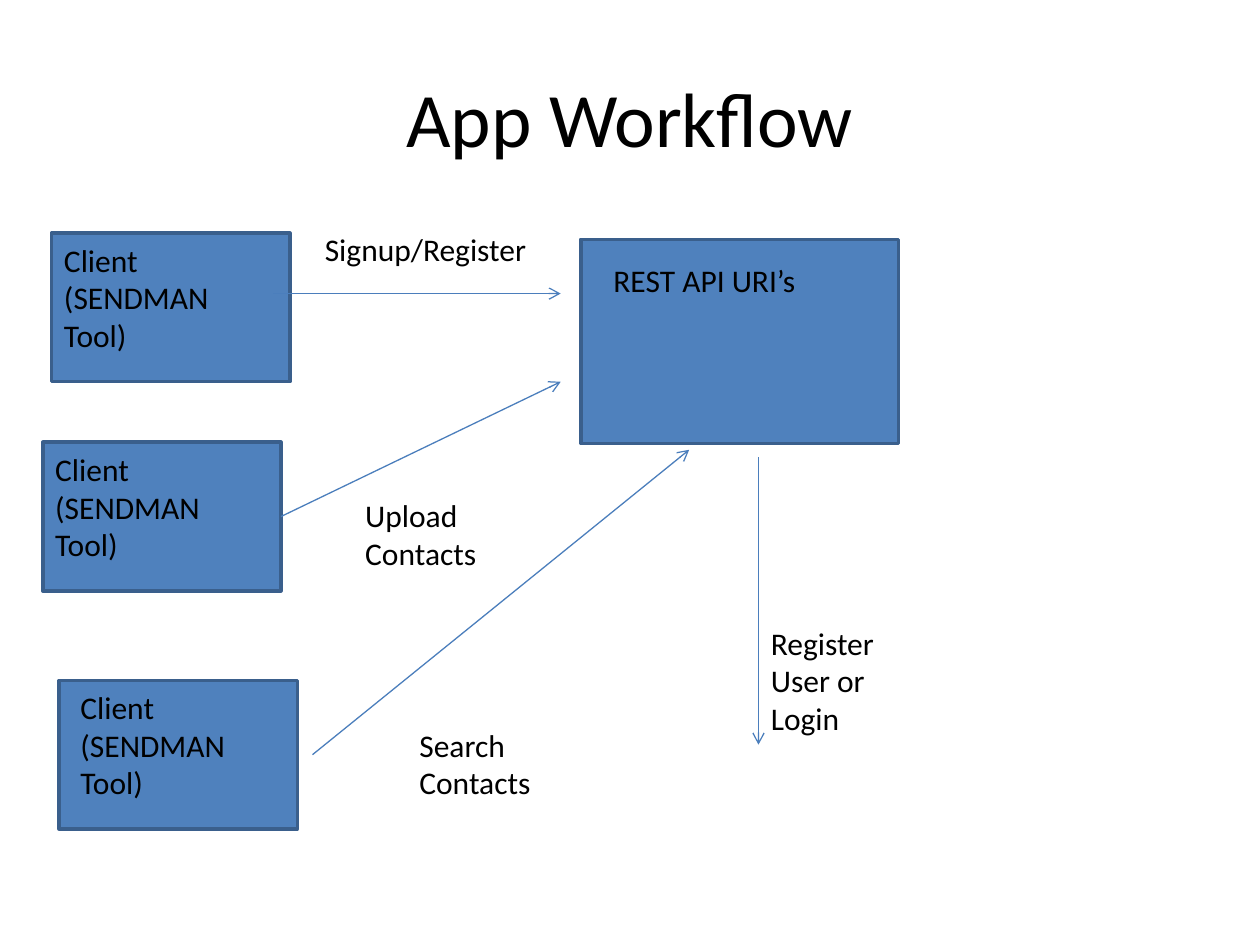
import pptx
import pptx.util
import pptx.dml.color
import pptx.enum.shapes
import pptx.enum.text
import pptx.oxml
from pptx.util import Inches

BLACK = pptx.dml.color.RGBColor(0x00, 0x00, 0x00)
BOX_FILL = pptx.dml.color.RGBColor(0x4F, 0x81, 0xBD)
BOX_LINE = pptx.dml.color.RGBColor(0x3A, 0x5F, 0x8C)
ARROW_LINE = pptx.dml.color.RGBColor(0x4B, 0x7E, 0xBC)

presentation = pptx.Presentation()
presentation.slide_width = Inches(10)
presentation.slide_height = Inches(7.5)
slide = presentation.slides.add_slide(presentation.slide_layouts[5])


def add_box(left, top, width, height):
    box = slide.shapes.add_shape(
        pptx.enum.shapes.MSO_SHAPE.RECTANGLE,
        Inches(left), Inches(top), Inches(width), Inches(height))
    box.shadow.inherit = False
    box.fill.solid()
    box.fill.fore_color.rgb = BOX_FILL
    box.line.color.rgb = BOX_LINE
    box.line.width = pptx.util.Pt(2)


def add_label(text, left, top, width, height):
    label = slide.shapes.add_textbox(
        Inches(left), Inches(top), Inches(width), Inches(height))
    label.text_frame.word_wrap = True
    label.text_frame.text = text
    for paragraph in label.text_frame.paragraphs:
        paragraph.font.name = "Calibri"
        paragraph.font.size = pptx.util.Pt(18)
        paragraph.font.color.rgb = BLACK


# Title
title = slide.shapes.title
title.left, title.top = Inches(0.5), Inches(0.3)
title.width, title.height = Inches(9), Inches(1.25)
title.text_frame.text = "App Workflow"
title.text_frame.vertical_anchor = pptx.enum.text.MSO_ANCHOR.MIDDLE
heading = title.text_frame.paragraphs[0]
heading.alignment = pptx.enum.text.PP_ALIGN.CENTER
heading.font.name = "Calibri"
heading.font.size = pptx.util.Pt(44)
heading.font.color.rgb = BLACK

# Clients: box left, box top, label left
for box_left, box_top, label_left in [
    (0.41, 1.85, 0.41),
    (0.34, 3.51, 0.34),
    (0.47, 5.4, 0.54),
]:
    add_box(box_left, box_top, 1.89, 1.18)
    add_label("Client\n(SENDMAN Tool)", label_left, box_top + 0.01, 1.76, 1.01)

# REST API
add_box(4.61, 1.9, 2.52, 1.62)
add_label("REST API URI’s", 4.77, 2.02, 3.3, 0.4)

# Requests to the API and the step that follows
for start_x, start_y, end_x, end_y in [
    (2.17, 2.33, 4.45, 2.33),
    (2.23, 4.1, 4.45, 3.03),
    (2.48, 5.99, 5.47, 3.57),
    (6.02, 3.63, 6.02, 5.91),
]:
    arrow = slide.shapes.add_connector(
        pptx.enum.shapes.MSO_CONNECTOR.STRAIGHT,
        Inches(start_x), Inches(start_y), Inches(end_x), Inches(end_y))
    arrow.line.color.rgb = ARROW_LINE
    arrow.line.width = pptx.util.Pt(0.75)
    arrowhead = pptx.oxml.xmlchemy.OxmlElement("a:tailEnd")
    arrowhead.set("type", "arrow")
    arrow.line._get_or_add_ln().append(arrowhead)
    arrow._element.spPr.append(pptx.oxml.xmlchemy.OxmlElement("a:effectLst"))

# Arrow captions
add_label("Signup/Register", 2.48, 1.78, 2.13, 0.4)
add_label("Upload Contacts", 2.8, 3.89, 1.65, 0.71)
add_label("Search Contacts", 3.23, 5.71, 1.65, 0.71)
add_label("Register User or Login", 6.02, 4.9, 1.1, 1.01)

presentation.save("out.pptx")
